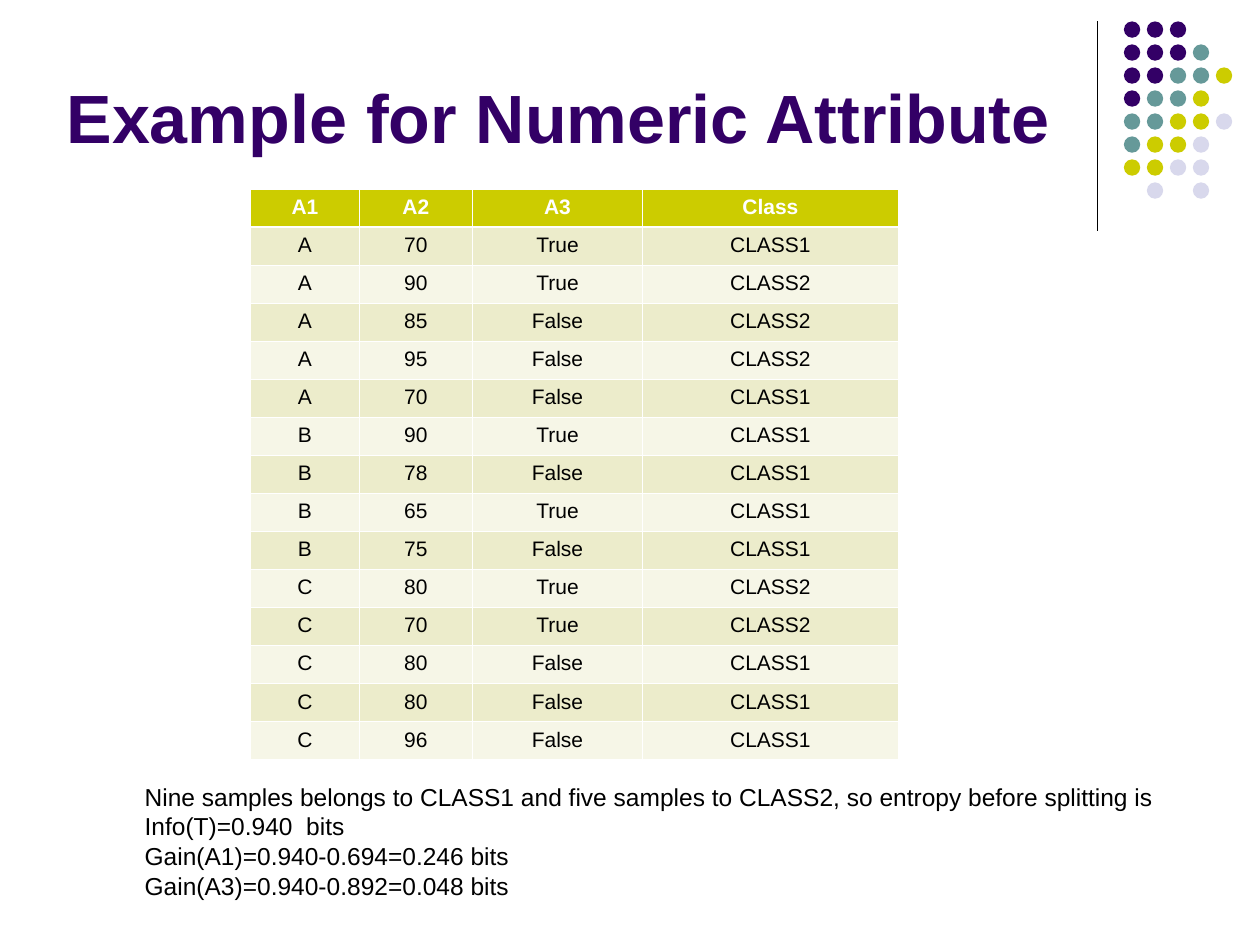
from lxml import etree
from pptx import Presentation
from pptx.dml.color import RGBColor
from pptx.enum.shapes import MSO_CONNECTOR, MSO_SHAPE
from pptx.enum.text import MSO_ANCHOR, PP_ALIGN
from pptx.oxml.ns import qn
from pptx.util import Inches, Pt

STRAIGHT = MSO_CONNECTOR.STRAIGHT
ELLIPSE = MSO_SHAPE.OVAL
TOP, BOTTOM = MSO_ANCHOR.TOP, MSO_ANCHOR.BOTTOM
LEFT, CENTER = PP_ALIGN.LEFT, PP_ALIGN.CENTER

PURPLE, TEAL, OLIVE, LAVENDER = "330066", "669999", "CCCC00", "D8D8EC"
BLACK, WHITE = "000000", "FFFFFF"
ROW_FILLS = ("F6F6E7", "ECECCB")

DOT_COLOURS = {"P": PURPLE, "T": TEAL, "O": OLIVE, "L": LAVENDER}
DOT_ROWS = ["PPP", "PPPT", "PPTTO", "PTTO", "TTOOL", "TOOL", "OOLL", ".L.L"]
DOT_PITCH = 0.73 / 4
DOT_SIZE = 0.13

COLUMN_WIDTHS = [0.86, 0.9, 1.35, 2.03]
TABLE_ROWS = [
    ("A1", "A2", "A3", "Class"),
    ("A", "70", "True", "CLASS1"),
    ("A", "90", "True", "CLASS2"),
    ("A", "85", "False", "CLASS2"),
    ("A", "95", "False", "CLASS2"),
    ("A", "70", "False", "CLASS1"),
    ("B", "90", "True", "CLASS1"),
    ("B", "78", "False", "CLASS1"),
    ("B", "65", "True", "CLASS1"),
    ("B", "75", "False", "CLASS1"),
    ("C", "80", "True", "CLASS2"),
    ("C", "70", "True", "CLASS2"),
    ("C", "80", "False", "CLASS1"),
    ("C", "80", "False", "CLASS1"),
    ("C", "96", "False", "CLASS1"),
]
GAIN_LINES = [
    "Nine samples belongs to CLASS1 and five samples to CLASS2, so entropy before splitting is",
    "Info(T)=0.940  bits",
    "Gain(A1)=0.940-0.694=0.246 bits",
    "Gain(A3)=0.940-0.892=0.048 bits",
]


def colour(hex_code):
    return RGBColor.from_string(hex_code)


class SlideBuilder:
    font_name = "Arial"

    def __init__(self, slide):
        self.slide = slide

    def text_run(self, paragraph, text, size, hex_code, bold=False, align=LEFT):
        paragraph.alignment = align
        run = paragraph.add_run()
        run.text = text
        run.font.name = self.font_name
        run.font.size = Pt(size)
        run.font.bold = bold
        run.font.color.rgb = colour(hex_code)

    def line(self, x1, y1, x2, y2, hex_code, width):
        connector = self.slide.shapes.add_connector(
            STRAIGHT, Inches(x1), Inches(y1), Inches(x2), Inches(y2))
        connector.line.color.rgb = colour(hex_code)
        connector.line.width = Pt(width)
        etree.SubElement(connector._element.spPr, qn("a:effectLst"))

    def dots(self, left, top):
        group = self.slide.shapes.add_group_shape()
        for row, pattern in enumerate(DOT_ROWS):
            for column, key in enumerate(pattern):
                if key not in DOT_COLOURS:
                    continue
                dot = group.shapes.add_shape(
                    ELLIPSE, Inches(left + column * DOT_PITCH),
                    Inches(top + row * DOT_PITCH), Inches(DOT_SIZE), Inches(DOT_SIZE))
                dot.shadow.inherit = False
                dot.fill.solid()
                dot.fill.fore_color.rgb = colour(DOT_COLOURS[key])
                dot.line.fill.background()

    def text_frame(self, left, top, width, height, anchor=TOP):
        box = self.slide.shapes.add_textbox(
            Inches(left), Inches(top), Inches(width), Inches(height))
        frame = box.text_frame
        frame.word_wrap = True
        frame.vertical_anchor = anchor
        return frame

    def title(self, text, left, top, width, height):
        frame = self.text_frame(left, top, width, height, BOTTOM)
        self.text_run(frame.paragraphs[0], text, 39, PURPLE, bold=True)

    def body(self, lines, left, top, width, height):
        frame = self.text_frame(left, top, width, height)
        for index, text in enumerate(lines):
            paragraph = frame.add_paragraph() if index else frame.paragraphs[0]
            paragraph.level = 1
            paragraph.line_spacing = 0.8
            paragraph.space_before = Pt(3.5 if index else 0)
            properties = paragraph._p.get_or_add_pPr()
            properties.set("marL", str(Inches(0.38)))
            properties.set("indent", "0")
            self.text_run(paragraph, text, 14, BLACK)

    def border(self, cell, side, width):
        edge = etree.SubElement(cell._tc.get_or_add_tcPr(), qn(f"a:ln{side}"), w=str(Pt(width)))
        fill = etree.SubElement(edge, qn("a:solidFill"))
        etree.SubElement(fill, qn("a:srgbClr"), val=WHITE)

    def table(self, rows, widths, left, top, height):
        table = self.slide.shapes.add_table(
            len(rows), len(widths), Inches(left), Inches(top),
            Inches(sum(widths)), Inches(height)).table
        for column, width in zip(table.columns, widths):
            column.width = Inches(width)
        for row, values in enumerate(rows):
            header = row == 0
            thick_side = {0: "B", 1: "T"}.get(row)
            for column, value in enumerate(values):
                cell = table.cell(row, column)
                for side in "LRTB":
                    self.border(cell, side, 1.47 if side == thick_side else 0.45)
                cell.fill.solid()
                cell.fill.fore_color.rgb = colour(OLIVE if header else ROW_FILLS[row % 2])
                self.text_run(cell.text_frame.paragraphs[0], value, 12,
                              WHITE if header else BLACK, bold=header, align=CENTER)


def main():
    presentation = Presentation()
    presentation.slide_width = Inches(10)
    presentation.slide_height = Inches(7.5)
    builder = SlideBuilder(presentation.slides.add_slide(presentation.slide_layouts[6]))
    builder.line(8.71, 0.17, 8.71, 1.83, BLACK, 0.75)
    builder.dots(8.92, 0.17)
    builder.title("Example for Numeric Attribute", 0.43, 0.24, 8.25, 1.06)
    builder.table(TABLE_ROWS, COLUMN_WIDTHS, 1.99, 1.5, 4.53)
    builder.body(GAIN_LINES, 0.67, 6.2, 9, 1.06)
    presentation.save("out.pptx")


if __name__ == "__main__":
    main()
